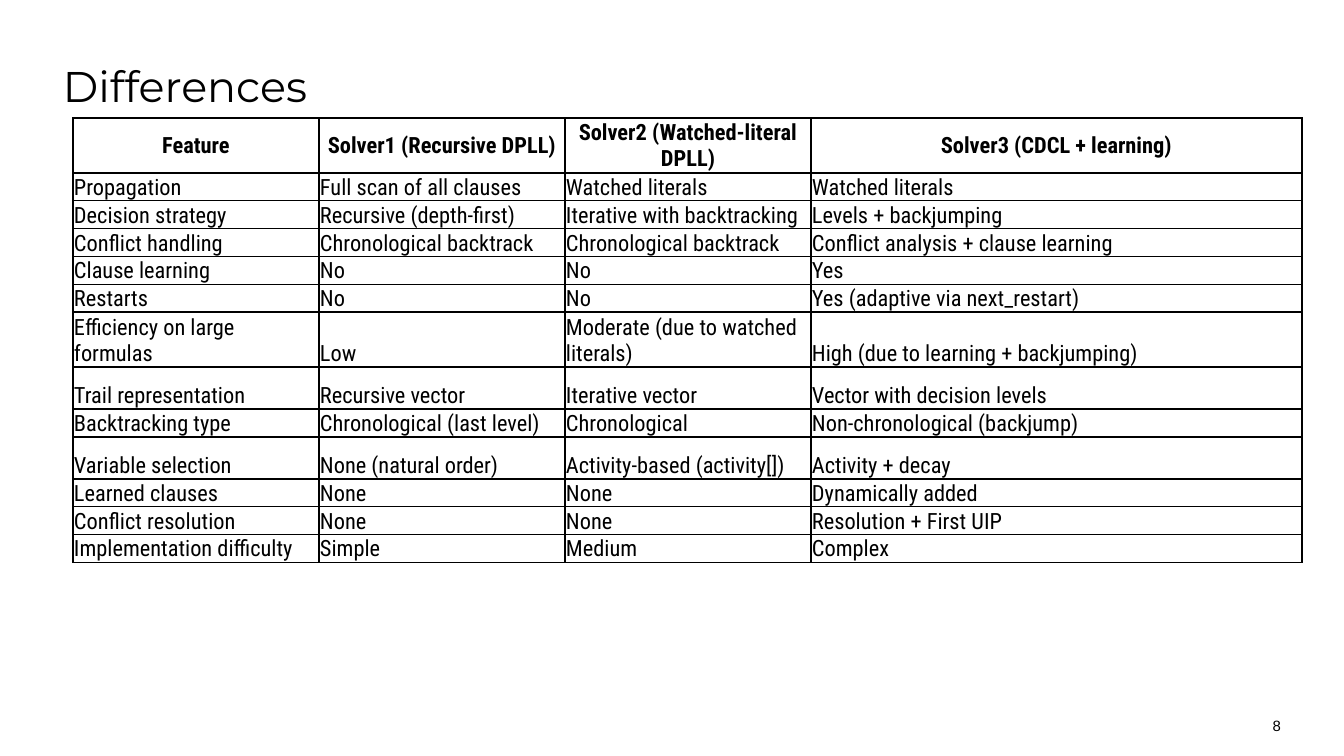
from pptx import Presentation
from pptx.dml.color import RGBColor
from pptx.enum.text import MSO_ANCHOR, PP_ALIGN
from pptx.oxml.ns import qn
from pptx.util import Pt
from lxml.etree import SubElement

SCALE = 914400 / 134.4  # EMU per px
BLACK = "000000"

TITLE = "Differences"
PAGE_NUMBER = "8"
HEADER = ("Feature", "Solver1 (Recursive DPLL)",
          "Solver2 (Watched-literal DPLL)", "Solver3 (CDCL + learning)")
FEATURES = [
    ("Propagation", "Full scan of all clauses", "Watched literals", "Watched literals"),
    ("Decision strategy", "Recursive (depth-first)", "Iterative with backtracking",
     "Levels + backjumping"),
    ("Conflict handling", "Chronological backtrack", "Chronological backtrack",
     "Conflict analysis + clause learning"),
    ("Clause learning", "No", "No", "Yes"),
    ("Restarts", "No", "No", "Yes (adaptive via next_restart)"),
    ("Efficiency on large formulas", "Low", "Moderate (due to watched literals)",
     "High (due to learning + backjumping)"),
    ("Trail representation", "Recursive vector", "Iterative vector",
     "Vector with decision levels"),
    ("Backtracking type", "Chronological (last level)", "Chronological",
     "Non-chronological (backjump)"),
    ("Variable selection", "None (natural order)", "Activity-based (activity[])",
     "Activity + decay"),
    ("Learned clauses", "None", "None", "Dynamically added"),
    ("Conflict resolution", "None", "None", "Resolution + First UIP"),
    ("Implementation difficulty", "Simple", "Medium", "Complex"),
]
COLUMN_WIDTHS = (246, 246, 246, 491)
ROW_HEIGHT = 27
SPECIAL_HEIGHTS = {"Feature": 53, "Efficiency on large formulas": 54,
                   "Trail representation": 42, "Variable selection": 42}


def px(value):
    return round(value * SCALE)


def color(value):
    return RGBColor.from_string(value)


def style_paragraph(paragraph, font_name, size, align, bold=False):
    paragraph.alignment = align
    font = paragraph.font
    font.name, font.size, font.bold = font_name, Pt(size), bold
    font.color.rgb = color(BLACK)


def add_text(slide, box, text, font_name, size, align, anchor):
    frame = slide.shapes.add_textbox(*map(px, box)).text_frame
    frame.word_wrap = True
    frame.vertical_anchor = anchor
    frame.margin_left = frame.margin_right = px(9)
    frame.margin_top = frame.margin_bottom = px(5)
    paragraph = frame.paragraphs[0]
    paragraph.text = text
    style_paragraph(paragraph, font_name, size, align)
    return paragraph


def add_borders(cell):
    properties = cell._tc.get_or_add_tcPr()
    for side in ("a:lnL", "a:lnR", "a:lnT", "a:lnB"):
        line = SubElement(properties, qn(side), w=str(Pt(1)))
        fill = SubElement(line, qn("a:solidFill"))
        SubElement(fill, qn("a:srgbClr"), val=BLACK)


def fill_cell(cell, text, is_header):
    add_borders(cell)
    cell.fill.background()
    cell.margin_left = cell.margin_right = cell.margin_top = px(1)
    cell.margin_bottom = 0
    cell.vertical_anchor = MSO_ANCHOR.MIDDLE if is_header else MSO_ANCHOR.BOTTOM
    cell.text = text
    align = PP_ALIGN.CENTER if is_header else PP_ALIGN.LEFT
    style_paragraph(cell.text_frame.paragraphs[0], "Roboto Condensed", 12, align, is_header)


def add_comparison(slide, left, top):
    rows = [HEADER] + FEATURES
    heights = [SPECIAL_HEIGHTS.get(row[0], ROW_HEIGHT) for row in rows]
    table = slide.shapes.add_table(
        len(rows), len(HEADER), px(left), px(top),
        px(sum(COLUMN_WIDTHS)), px(sum(heights))).table
    table.first_row = table.horz_banding = False
    for column, width in zip(table.columns, COLUMN_WIDTHS):
        column.width = px(width)
    for r, (row, height) in enumerate(zip(rows, heights)):
        table.rows[r].height = px(height)
        for c, text in enumerate(row):
            fill_cell(table.cell(r, c), text, r == 0)


def main():
    presentation = Presentation()
    presentation.slide_width, presentation.slide_height = px(1344), px(756)
    slide = presentation.slides.add_slide(presentation.slide_layouts[6])

    # Title and page number
    title = add_text(slide, (54, 63, 1226, 109), TITLE, "Montserrat", 23,
                     PP_ALIGN.LEFT, MSO_ANCHOR.TOP)
    title.line_spacing = 0.83
    add_text(slide, (1215, 700, 75, 40), PAGE_NUMBER, "Arial", 8,
             PP_ALIGN.RIGHT, MSO_ANCHOR.BOTTOM)

    # Solver comparison
    add_comparison(slide, 73, 118)

    presentation.save("out.pptx")


if __name__ == "__main__":
    main()
